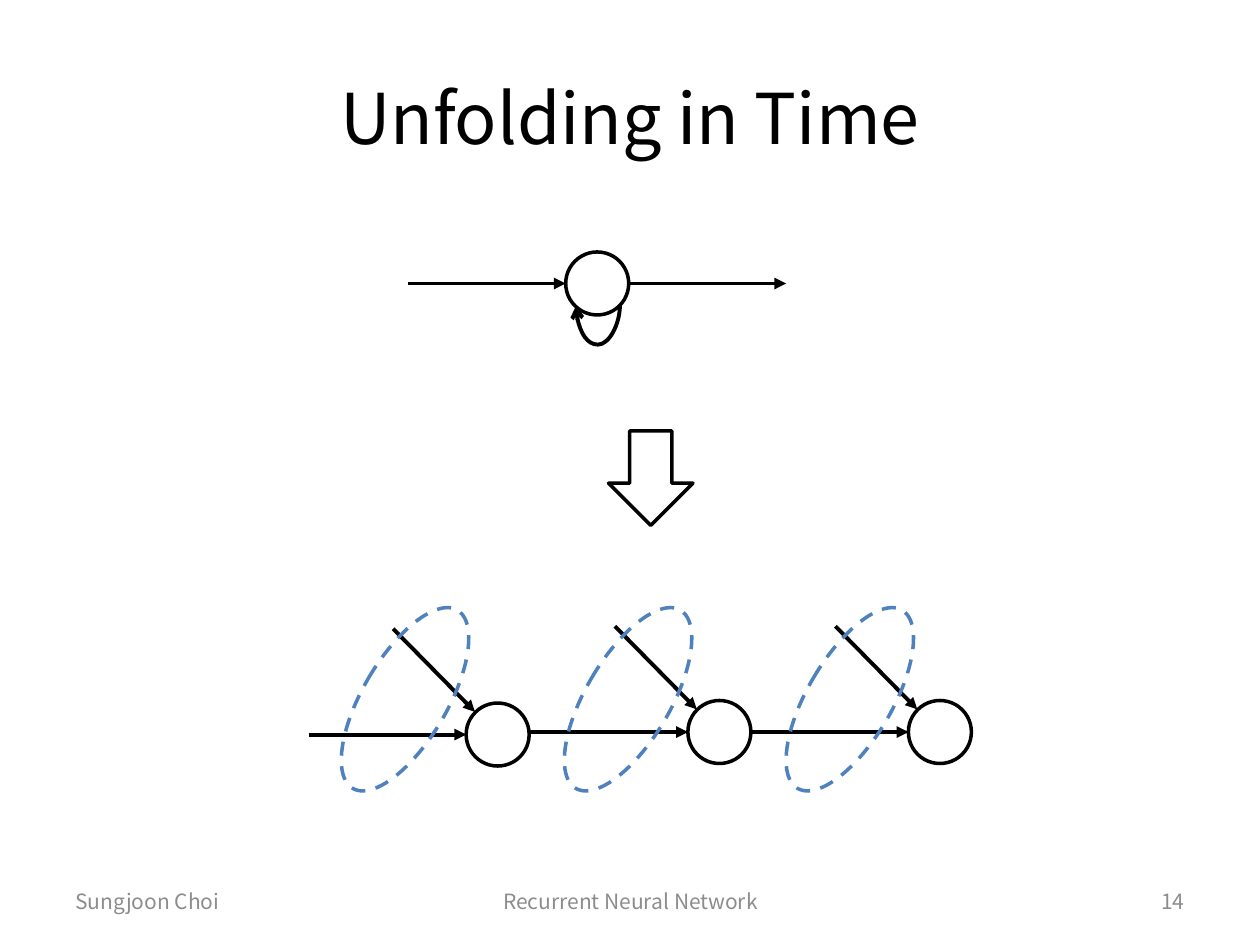
from lxml import etree
from pptx import Presentation
from pptx.dml.color import RGBColor
from pptx.enum import dml, shapes, text
from pptx.oxml.ns import qn
from pptx.util import Inches, Pt

deck = Presentation()
deck.slide_width, deck.slide_height = Inches(10), Inches(7.5)
slide = deck.slides.add_slide(deck.slide_layouts[6])
items = slide.shapes
kind = shapes.MSO_SHAPE
link = shapes.MSO_CONNECTOR
side = text.PP_ALIGN


def paint(part, color):
    part.color.rgb = RGBColor.from_string(color)


def arrow(form, x1, y1, x2, y2, head="triangle"):
    line = items.add_connector(form, *map(Inches, (x1, y1, x2, y2)))
    line.line.width = Pt(2.25)
    paint(line.line, "000000")
    etree.SubElement(line.line._get_or_add_ln(), qn("a:tailEnd"), type=head)
    etree.SubElement(line._element.spPr, qn("a:effectLst"))
    return line


for words, x, y, w, h, size, font, color, align in (
    ("Unfolding in Time", 0.5, 0.3, 9, 1.25, 40, "Noto Sans CJK KR", "000000", side.CENTER),
    ("14", 7.17, 6.95, 2.33, 0.4, 12, "Noto Sans CJK TC", "8C8C8C", side.RIGHT),
    ("Recurrent Neural Network", 3.42, 6.95, 3.17, 0.4, 12, "Noto Sans CJK TC", "8C8C8C", side.CENTER),
    ("Sungjoon Choi", 0.5, 6.95, 2.33, 0.4, 12, "Noto Sans CJK TC", "8C8C8C", side.LEFT),
):
    frame = items.add_textbox(*map(Inches, (x, y, w, h))).text_frame
    frame.word_wrap = True
    frame.vertical_anchor = text.MSO_ANCHOR.MIDDLE
    para = frame.paragraphs[0]
    para.text = words
    para.alignment = align
    para.font.size = Pt(size)
    para.font.name = font
    paint(para.font, color)

nodes = [(3.7, 5.58), (5.46, 5.56), (7.21, 5.56)]
outlines = [(kind.OVAL, x, y, 0.5, 0.5, 0, "000000") for x, y in [(4.49, 2)] + nodes]
outlines.append((kind.DOWN_ARROW, 4.83, 3.42, 0.67, 0.75, 0, "000000"))
outlines += [(kind.OVAL, x, 4.73, 0.67, 1.64, 30.4, "4F81BD") for x in (2.88, 4.65, 6.41)]

for x in (3.24, 4.99):
    arrow(link.STRAIGHT, x, 2.25, x + 1.25, 2.25)

loop = arrow(link.CURVE, 4.74, 2.25, 4.75, 2.6, "arrow")
prop = loop._element.spPr
prop.find(qn("a:xfrm")).set("rot", "5400000")
guides = prop.find(qn("a:prstGeom")).get_or_add_avLst()
etree.SubElement(guides, qn("a:gd"), name="adj1", fmla="val 3200000")

for x, y in nodes:
    arrow(link.STRAIGHT, x - 1.25, y + 0.25, x, y + 0.25)
    arrow(link.STRAIGHT, x - 0.58, y - 0.59, x + 0.07, y + 0.07)

for form, x, y, w, h, turn, color in outlines:
    shape = items.add_shape(form, *map(Inches, (x, y, w, h)))
    shape.shadow.inherit = False
    shape.fill.background()
    shape.rotation = turn
    shape.line.width = Pt(2)
    paint(shape.line, color)
    if turn:
        shape.line.dash_style = dml.MSO_LINE.DASH

deck.save("out.pptx")
